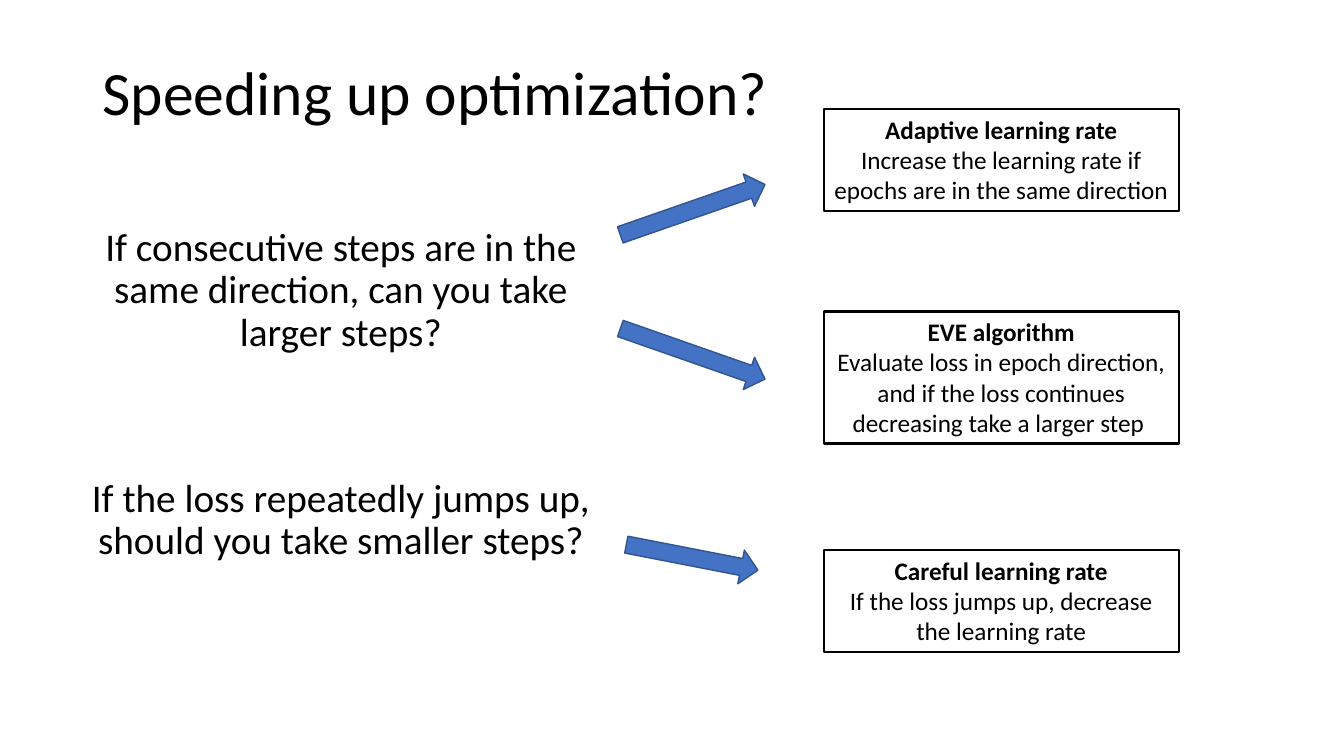
from pptx import Presentation
from pptx.dml.color import RGBColor
from pptx.enum import shapes, text
from pptx.util import Inches, Pt

FONT = "Calibri"
COLORS = {"ink": "000000", "arrow": "4472C4", "arrow_edge": "325491"}

QUESTION_LEFT, QUESTION_WIDTH = 0.76, 5.24
METHOD_LEFT, METHOD_WIDTH = 8.17, 3.52
ARROW_HEIGHT = 0.34

# top, height, wording
QUESTIONS = [
    (2.21, 1.54, "If consecutive steps are in the same direction, can you take larger steps?"),
    (4.7, 0.99, "If the loss repeatedly jumps up, should you take smaller steps?"),
]
# top, height, name, explanation
METHODS = [
    (1.08, 1.01, "Adaptive learning rate",
     "Increase the learning rate if epochs are in the same direction"),
    (3.09, 1.31, "EVE algorithm",
     "Evaluate loss in epoch direction, and if the loss continues "
     "decreasing take a larger step "),
    (5.46, 1.01, "Careful learning rate",
     "If the loss jumps up, decrease the learning rate"),
]
# left, top, width, rotation
ARROWS = [
    (6.11, 1.91, 1.52, 340.8),
    (6.11, 3.34, 1.52, 19.3),
    (6.2, 5.36, 1.33, 11),
]


def color(name):
    return RGBColor.from_string(COLORS[name])


def write(paragraph, wording, size, align, bold=False):
    paragraph.text = wording
    paragraph.alignment = align
    font = paragraph.runs[0].font
    font.name, font.size, font.bold = FONT, Pt(size), bold
    font.color.rgb = color("ink")


def add_heading(slide, box, wording, size, align, anchor, space_before=0):
    heading = slide.shapes.add_textbox(*map(Inches, box))
    frame = heading.text_frame
    frame.word_wrap = True
    frame.vertical_anchor = anchor
    line = frame.paragraphs[0]
    write(line, wording, size, align)
    line.line_spacing = 0.9
    line.space_before = Pt(space_before)


def add_method(slide, top, height, name, explanation):
    method = slide.shapes.add_textbox(
        *map(Inches, (METHOD_LEFT, top, METHOD_WIDTH, height)))
    method.line.color.rgb = color("ink")
    method.line.width = Pt(1.5)
    frame = method.text_frame
    frame.word_wrap = True
    frame.auto_size = text.MSO_AUTO_SIZE.SHAPE_TO_FIT_TEXT
    write(frame.paragraphs[0], name, 18, text.PP_ALIGN.CENTER, bold=True)
    write(frame.add_paragraph(), explanation, 18, text.PP_ALIGN.CENTER)


def add_arrow(slide, left, top, width, rotation):
    arrow = slide.shapes.add_shape(
        shapes.MSO_SHAPE.RIGHT_ARROW,
        *map(Inches, (left, top, width, ARROW_HEIGHT)))
    arrow.rotation = rotation
    arrow.shadow.inherit = False
    arrow.fill.solid()
    arrow.fill.fore_color.rgb = color("arrow")
    arrow.line.color.rgb = color("arrow_edge")
    arrow.line.width = Pt(1)


def main():
    deck = Presentation()
    deck.slide_width, deck.slide_height = Inches(13.33), Inches(7.5)
    slide = deck.slides.add_slide(deck.slide_layouts[6])

    # Title
    add_heading(slide, (0.92, 0.22, 11.5, 1.45), "Speeding up optimization?", 44,
                text.PP_ALIGN.LEFT, text.MSO_ANCHOR.MIDDLE)

    # Questions on the left
    for top, height, question in QUESTIONS:
        add_heading(slide, (QUESTION_LEFT, top, QUESTION_WIDTH, height), question, 28,
                    text.PP_ALIGN.CENTER, text.MSO_ANCHOR.TOP, space_before=10)

    # Arrows to the methods on the right
    for arrow in ARROWS:
        add_arrow(slide, *arrow)
    for method in METHODS:
        add_method(slide, *method)

    deck.save("out.pptx")


if __name__ == "__main__":
    main()
